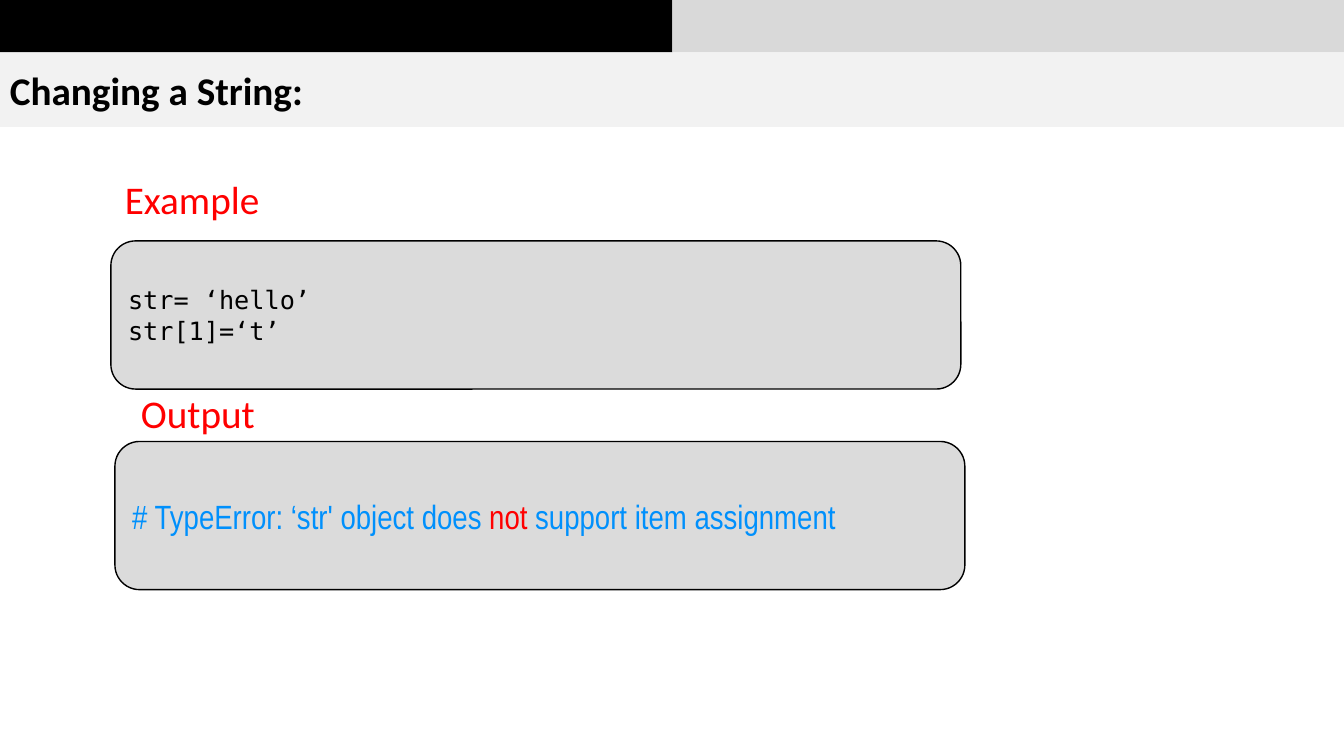
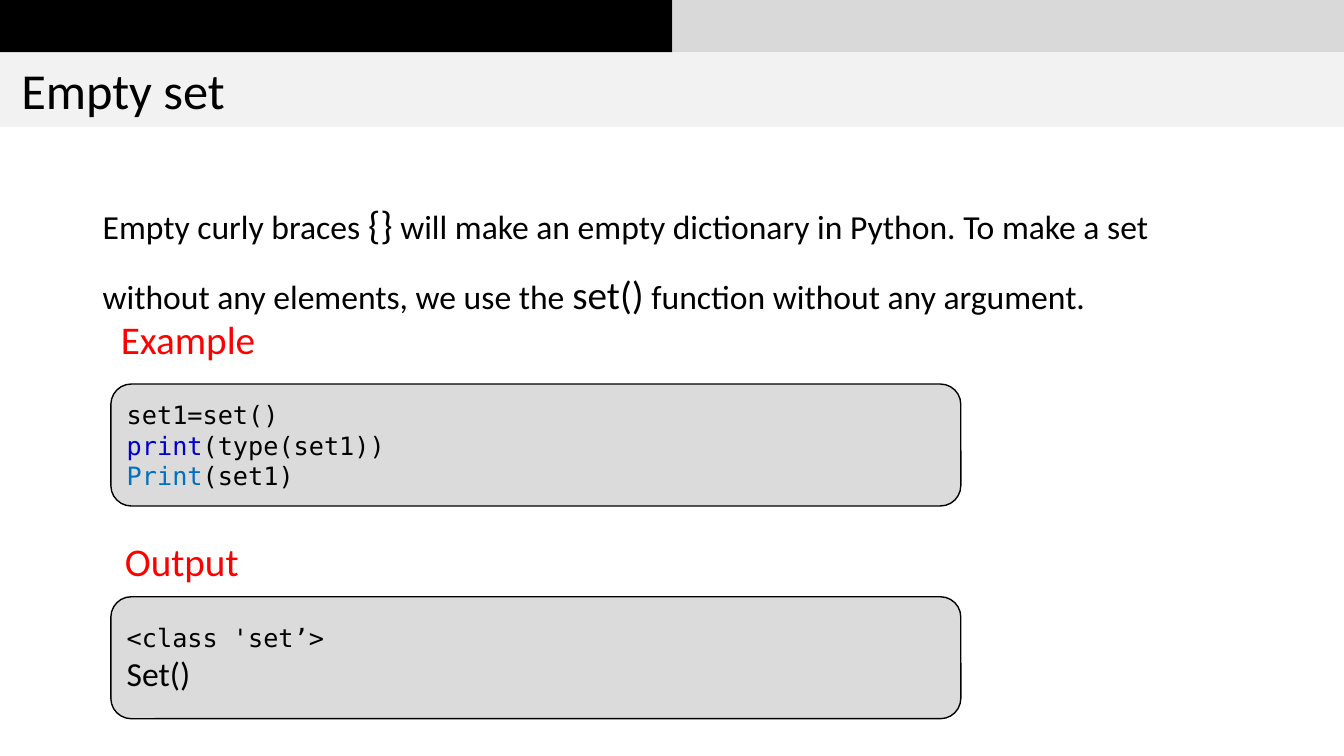
"""Build two slides on changing strings and empty sets in Python."""
from dataclasses import dataclass, field

from pptx import Presentation
from pptx.dml.color import RGBColor
from pptx.enum.shapes import MSO_SHAPE
from pptx.enum.text import MSO_ANCHOR, MSO_AUTO_SIZE, PP_ALIGN
from pptx.util import Inches, Pt

RECTANGLE = MSO_SHAPE.RECTANGLE
ROUNDED = MSO_SHAPE.ROUNDED_RECTANGLE
MIDDLE = MSO_ANCHOR.MIDDLE
GROW = MSO_AUTO_SIZE.SHAPE_TO_FIT_TEXT
LEFT = PP_ALIGN.LEFT
BLANK_LAYOUT = 6
PAGE_WIDTH, PAGE_HEIGHT = 13.33, 7.5
HALF_WIDTH = 6.67
BAND_HEIGHT, TITLE_HEIGHT = 0.52, 0.74
PANEL_LEFT, PANEL_WIDTH = 1.1, 8.43
LABEL_HEIGHT = 0.57


def text_format(name, size, color="000000", bold=False):
    """Return the font values of one text style."""
    return {"name": name, "size": Pt(size), "bold": bold, "color": color}


@dataclass(frozen=True)
class Theme:
    """Colours and text styles shared by the slides."""

    dark_band: str = "000000"
    light_band: str = "D9D9D9"
    title_band: str = "F2F2F2"
    panel: str = "DBDBDB"
    outline: str = "000000"
    styles: dict = field(default_factory=lambda: {
        "title": text_format("Calibri", 28, bold=True),
        "large title": text_format("Calibri", 36),
        "label": text_format("Calibri", 28, "FF0000"),
        "body": text_format("Calibri", 24),
        "body code": text_format("Calibri", 28),
        "code": text_format("DejaVu Sans Mono", 18),
        "keyword": text_format("DejaVu Sans Mono", 18, "0000CD"),
        "wrong keyword": text_format("DejaVu Sans Mono", 18, "0070C0"),
        "error": text_format("Arial Narrow", 24, "0090FC"),
        "error stress": text_format("Arial Narrow", 24, "FF0000"),
    })


class Builder:
    """Draw the elements of the deck on the current slide."""

    def __init__(self, theme):
        """Start an empty deck."""
        self.theme = theme
        self.deck = Presentation()
        self.deck.slide_width = Inches(PAGE_WIDTH)
        self.deck.slide_height = Inches(PAGE_HEIGHT)
        self.page = None

    def add_page(self, title, style):
        """Add a slide with its bands and title."""
        self.page = self.deck.slides.add_slide(self.deck.slide_layouts[BLANK_LAYOUT])
        self.box(RECTANGLE, (0, 0, HALF_WIDTH, BAND_HEIGHT), self.theme.dark_band)
        self.box(RECTANGLE, (HALF_WIDTH, 0, HALF_WIDTH, BAND_HEIGHT), self.theme.light_band)
        band = self.box(RECTANGLE, (0, BAND_HEIGHT, PAGE_WIDTH, TITLE_HEIGHT), self.theme.title_band)
        self.fill_text(band, [[(title, style)]])

    def box(self, kind, place, fill, outline=None):
        """Add a filled shape with an optional outline."""
        box = self.page.shapes.add_shape(kind, *map(Inches, place))
        box.shadow.inherit = False
        box.fill.solid()
        box.fill.fore_color.rgb = RGBColor.from_string(fill)
        if outline:
            box.line.color.rgb = RGBColor.from_string(outline)
            box.line.width = Pt(1)
        else:
            box.line.fill.background()
        box.text_frame.vertical_anchor = MIDDLE
        return box

    def panel(self, top, height, lines, left=PANEL_LEFT):
        """Add a rounded panel of code or output."""
        place = (left, top, PANEL_WIDTH, height)
        box = self.box(ROUNDED, place, self.theme.panel, self.theme.outline)
        self.fill_text(box, lines)

    def label(self, text, left, top, width):
        """Add a heading that stays on one line."""
        box = self.page.shapes.add_textbox(*map(Inches, (left, top, width, LABEL_HEIGHT)))
        box.text_frame.word_wrap = False
        box.text_frame.auto_size = GROW
        self.fill_text(box, [[(text, "label")]])

    def body(self, place, spans):
        """Add a widely spaced paragraph."""
        box = self.page.shapes.add_textbox(*map(Inches, place))
        box.text_frame.word_wrap = True
        self.fill_text(box, [spans], {"line_spacing": 1.5, "space_before": Pt(10)})

    def fill_text(self, box, lines, spacing=None):
        """Fill a box with lines of styled spans."""
        frame = box.text_frame
        for index, spans in enumerate(lines):
            para = frame.add_paragraph() if index else frame.paragraphs[0]
            for key, value in {"alignment": LEFT, **(spacing or {})}.items():
                setattr(para, key, value)
            for text, style in spans:
                span = para.add_run()
                span.text = text
                values = dict(self.theme.styles[style])
                span.font.color.rgb = RGBColor.from_string(values.pop("color"))
                for key, value in values.items():
                    setattr(span.font, key, value)


def add_string_page(builder):
    """Show that a string cannot be changed in place."""
    builder.add_page("Changing a String:", "title")
    builder.panel(2.39, 1.47, [[("str= ‘hello’", "code")], [("str[1]=‘t’", "code")]])
    builder.label("Example ", 1.14, 1.69, 1.64)
    builder.panel(4.38, 1.47, [[
        ("# TypeError: ‘str' object does ", "error"),
        ("not", "error stress"),
        (" support item assignment", "error"),
    ]], left=1.14)
    builder.label("Output", 1.3, 3.81, 1.34)


def add_set_page(builder):
    """Show how to make an empty set."""
    builder.add_page("\u00a0Empty set", "large title")
    builder.body((0.92, 1.7, 11.5, 4.76), [
        ("Empty curly braces\u00a0", "body"),
        ("{}", "body code"),
        ("\u00a0will make an empty dictionary in Python. To make a set "
         "without any elements, we use the\u00a0", "body"),
        ("set()", "body code"),
        ("\u00a0function without any argument.", "body"),
    ])
    builder.panel(3.81, 1.21, [
        [("set1=set()", "code")],
        [("print", "keyword"), ("(type(set1))", "code")],
        [("Print", "wrong keyword"), ("(set1)", "code")],
    ])
    builder.label("Example ", 1.1, 3.08, 1.64)
    builder.panel(5.92, 1.21, [[("<class 'set’>", "code")], [("Set()", "body")]])
    builder.label("Output", 1.14, 5.28, 1.34)


def main():
    """Build and save the deck."""
    builder = Builder(Theme())
    add_string_page(builder)
    add_set_page(builder)
    builder.deck.save("out.pptx")


main()
